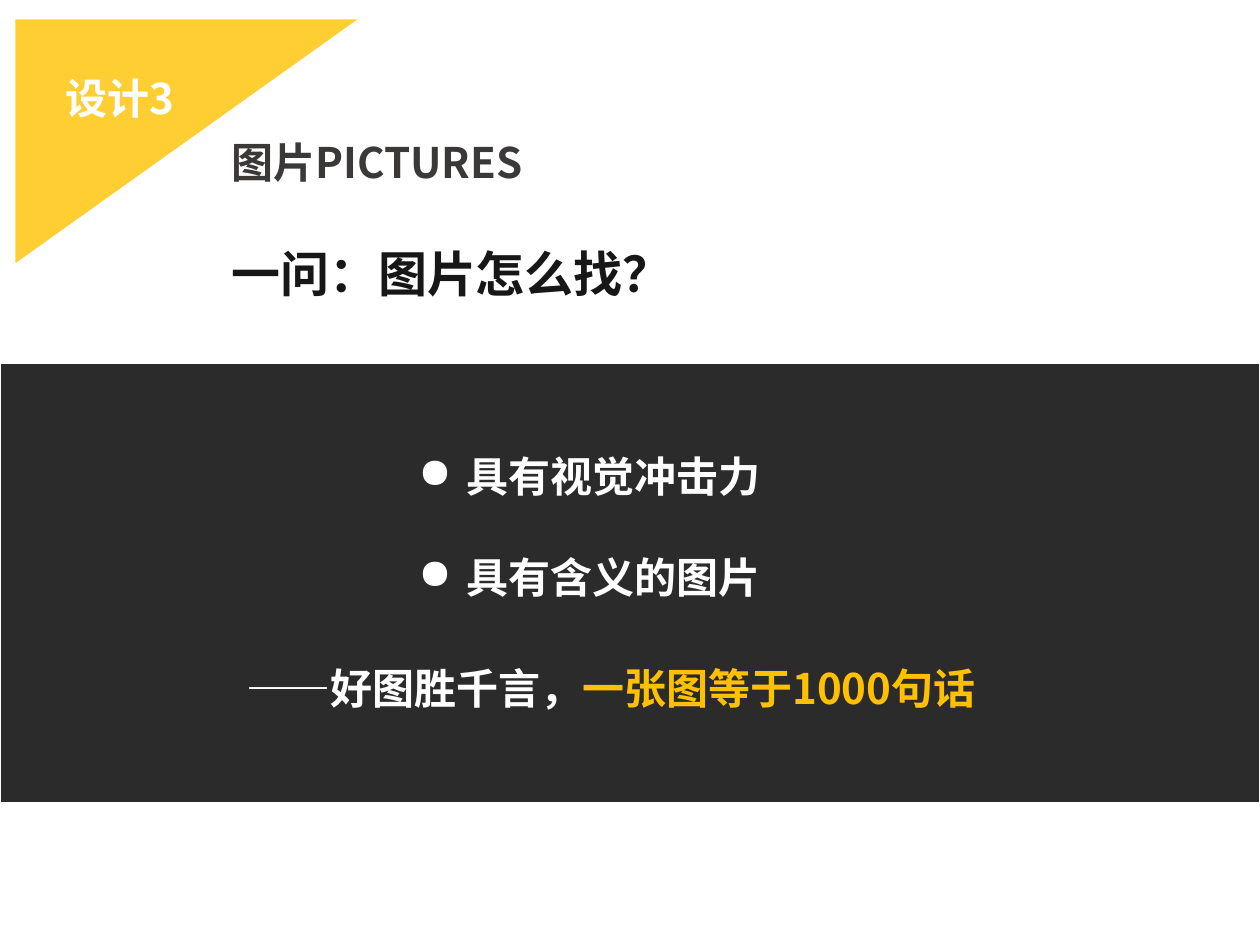
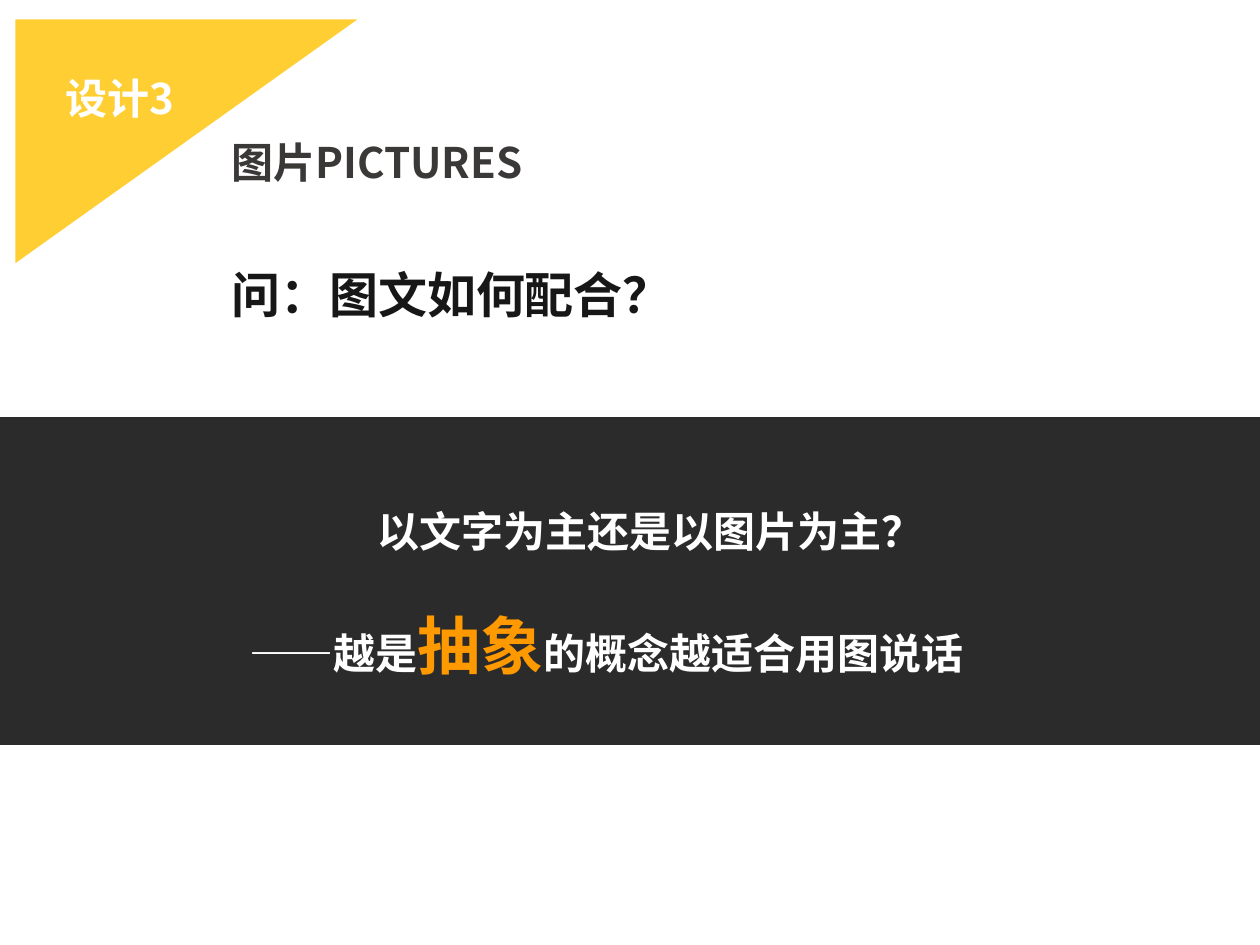
import pptx
import pptx.util
import pptx.dml.color
import pptx.enum.shapes
import pptx.enum.text
import pptx.oxml.ns
from dataclasses import dataclass
from lxml import etree


@dataclass(frozen=True)
class Theme:
    font: str = "Noto Sans CJK SC"
    white: str = "FFFFFF"
    ink: str = "181717"
    grey: str = "3B3838"
    yellow: str = "FFCE33"
    gold: str = "FFC000"
    orange: str = "FF9900"
    body: int = 24
    heading: int = 28
    emphasis: int = 36
    outline: float = 1.5
    gap: int = 29
    band_opacity: int = 91


THEME = Theme()
PX_PER_INCH = 126
PAGE_SIZE = (1260, 945)
CORNER = (14, 18, 348, 248)
BULLET_INDENT = 48

SHARED_LABELS = [
    {"at": (53, 66, 166, 63), "lines": [[("设计3", THEME.white, THEME.body)]]},
    {"at": (219, 130, 340, 63), "lines": [[("图片PICTURES", THEME.grey, THEME.body)]]},
]

PAGES = [
    {
        "band": (0, 363, 1260, 440),
        "texts": [
            {"at": (219, 237, 519, 72),
             "lines": [[("一问：图片怎么找？", THEME.ink, THEME.heading)]]},
            {"at": (406, 444, 485, 165), "bullet": "●",
             "lines": [[("具有视觉冲击力", THEME.white, THEME.body)],
                       [("具有含义的图片", THEME.white, THEME.body)]]},
            {"at": (234, 656, 827, 115),
             "lines": [[("——好图胜千言，", THEME.white, THEME.body),
                        ("一张图等于1000句话", THEME.gold, THEME.body)]]},
        ],
    },
    {
        "band": (-13, 416, 1278, 330),
        "texts": [
            {"at": (237, 499, 827, 190), "centred": [0],
             "lines": [[("以文字为主还是以图片为主？", THEME.white, THEME.body)],
                       [("——越是", THEME.white, THEME.body),
                        ("抽象", THEME.orange, THEME.emphasis),
                        ("的概念越适合用图说话", THEME.white, THEME.body)]]},
            {"at": (219, 258, 663, 72),
             "lines": [[("问：图文如何配合？", THEME.ink, THEME.heading)]]},
        ],
    },
]


def px(length):
    return pptx.util.Emu(round(length * 914400 / PX_PER_INCH))


def rgb(value):
    return pptx.dml.color.RGBColor.from_string(value)


def add_child(parent, tag, **attributes):
    return etree.SubElement(parent, pptx.oxml.ns.qn(tag), **attributes)


def add_panel(page, kind, at, colour):
    shape = page.shapes.add_shape(kind, *map(px, at))
    shape.shadow.inherit = False
    shape.fill.solid()
    shape.fill.fore_color.rgb = rgb(colour)
    shape.line.color.rgb = rgb(THEME.white)
    shape.line.width = pptx.util.Pt(THEME.outline)
    return shape


def add_band(page, at):
    band = add_panel(page, pptx.enum.shapes.MSO_SHAPE.RECTANGLE, at, THEME.ink)
    fill_colour = band._element.spPr.find(".//" + pptx.oxml.ns.qn("a:srgbClr"))
    add_child(fill_colour, "a:alpha", val=str(THEME.band_opacity * 1000))


def add_corner(page):
    corner = add_panel(page, pptx.enum.shapes.MSO_SHAPE.RIGHT_TRIANGLE, CORNER, THEME.yellow)
    corner._element.spPr.xfrm.set("flipV", "1")


def add_bullet(para, symbol):
    properties = para._p.get_or_add_pPr()
    indent = px(BULLET_INDENT)
    properties.set("marL", str(indent))
    properties.set("indent", str(-indent))
    add_child(properties, "a:buChar", char=symbol)


def add_span(para, words, colour, size):
    span = para.add_run()
    span.text = words
    span.font.name = THEME.font
    span.font.bold = True
    span.font.size = pptx.util.Pt(size)
    span.font.color.rgb = rgb(colour)
    add_child(span._r.get_or_add_rPr(), "a:ea", typeface=THEME.font)


def add_text(page, at, lines, bullet=None, centred=()):
    box = page.shapes.add_textbox(*map(px, at))
    frame = box.text_frame
    frame.word_wrap = True
    frame.auto_size = pptx.enum.text.MSO_AUTO_SIZE.SHAPE_TO_FIT_TEXT
    for index, spans in enumerate(lines):
        para = frame.add_paragraph() if index else frame.paragraphs[0]
        if index:
            para.space_before = pptx.util.Pt(THEME.gap)
        if index in centred:
            para.alignment = pptx.enum.text.PP_ALIGN.CENTER
        if bullet:
            add_bullet(para, bullet)
        for span in spans:
            add_span(para, *span)


def main():
    deck = pptx.Presentation()
    deck.slide_width, deck.slide_height = map(px, PAGE_SIZE)
    for content in PAGES:
        page = deck.slides.add_slide(deck.slide_layouts[6])
        add_band(page, content["band"])
        add_corner(page)
        for text in SHARED_LABELS + content["texts"]:
            add_text(page, **text)
    deck.save("out.pptx")


if __name__ == "__main__":
    main()
